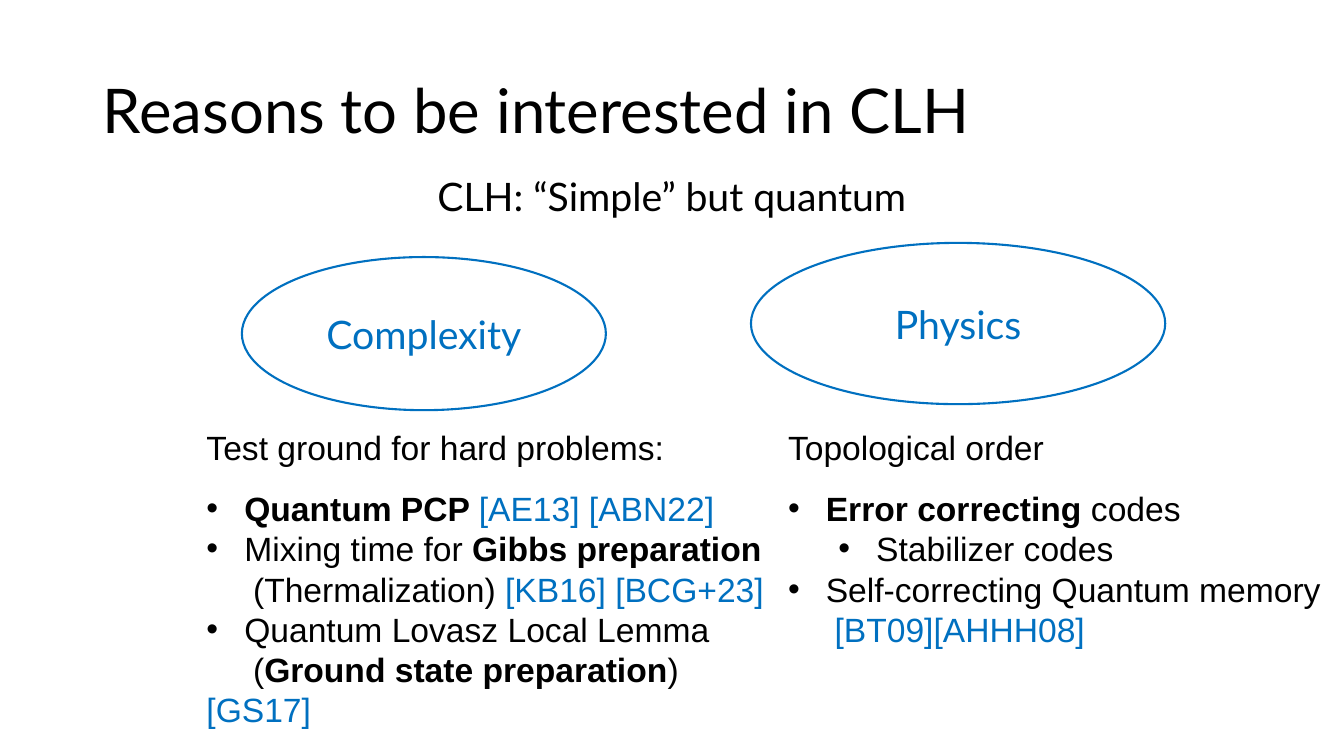
from dataclasses import dataclass

from lxml import etree
from pptx import Presentation
from pptx import util as u
from pptx.dml.color import RGBColor
from pptx.enum import shapes, text
from pptx.oxml import ns

BLACK = RGBColor(0x00, 0x00, 0x00)
WHITE = RGBColor(0xFF, 0xFF, 0xFF)
BLUE = RGBColor(0x00, 0x70, 0xC0)
HEADING_FONT = "Lato"
BODY_FONT = "Arial"
BODY_SIZE = 24
BULLET_HANG = 27
LEVEL_STEP = 36
CONTINUATION_INDENT = 33.3


@dataclass(frozen=True)
class Box:
    left: float
    top: float
    width: float
    height: float

    def lengths(self) -> tuple[u.Length, ...]:
        return u.Pt(self.left), u.Pt(self.top), u.Pt(self.width), u.Pt(self.height)


@dataclass(frozen=True)
class Phrase:
    wording: str
    bold: bool = False
    color: RGBColor = BLACK


@dataclass(frozen=True)
class Line:
    phrases: tuple[Phrase, ...]
    bullet: bool = False
    level: int = 0
    spacing: float = 1.0
    first_indent: float = 0


@dataclass(frozen=True)
class Topic:
    name: str
    ellipse: Box
    reasons: Box
    lines: tuple[Line, ...]


TITLE_BOX = Box(66.2, 28.8, 828, 104.4)
SUBTITLE_BOX = Box(303.1, 119.5, 353.5, 41)

TOPICS = (
    Topic("Complexity", Box(172.8, 183.6, 260, 109.4), Box(140.4, 301.7, 416.2, 196.6), (
        Line((Phrase("Test ground for hard problems:"),)),
        Line((Phrase("Quantum PCP ", bold=True), Phrase("[AE13] [ABN22]", color=BLUE)),
             bullet=True, spacing=1.5),
        Line((Phrase("Mixing time for "), Phrase("Gibbs preparation", bold=True)), bullet=True),
        Line((Phrase("(Thermalization) "), Phrase("[KB16] [BCG+23]", color=BLUE)),
             first_indent=CONTINUATION_INDENT),
        Line((Phrase("Quantum Lovasz Local Lemma"),), bullet=True),
        Line((Phrase("("), Phrase("Ground state preparation", bold=True), Phrase(") "),
              Phrase("[GS17]", color=BLUE)), first_indent=CONTINUATION_INDENT),
    )),
    Topic("Physics", Box(536.4, 173.5, 295.9, 115.2), Box(555.8, 301.7, 395.3, 196.6), (
        Line((Phrase("Topological order"),)),
        Line((Phrase("Error correcting ", bold=True), Phrase("codes")), bullet=True, spacing=1.5),
        Line((Phrase("Stabilizer codes"),), bullet=True, level=1),
        Line((Phrase("Self-correcting Quantum memory"),), bullet=True),
        Line((Phrase("[BT09][AHHH08]", color=BLUE),), first_indent=CONTINUATION_INDENT),
    )),
)


def format_run(run, font_name: str, size: float, color: RGBColor, bold: bool = False) -> None:
    run.font.name = font_name
    run.font.size = u.Pt(size)
    run.font.color.rgb = color
    run.font.bold = bold


def write_heading(shape, wording: str, size: float, color: RGBColor, alignment) -> None:
    frame = shape.text_frame
    frame.text = wording
    frame.vertical_anchor = text.MSO_ANCHOR.MIDDLE
    paragraph = frame.paragraphs[0]
    paragraph.alignment = alignment
    format_run(paragraph.runs[0], HEADING_FONT, size, color)


def write_line(paragraph, line: Line) -> None:
    paragraph.level = line.level
    paragraph.line_spacing = line.spacing
    properties = paragraph._p.get_or_add_pPr()
    margin = BULLET_HANG + LEVEL_STEP * line.level if line.bullet else 0
    indent = -BULLET_HANG if line.bullet else line.first_indent
    properties.set("marL", str(u.Pt(margin)))
    properties.set("indent", str(u.Pt(indent)))
    if line.bullet:
        etree.SubElement(properties, ns.qn("a:buFont")).set("typeface", BODY_FONT)
        etree.SubElement(properties, ns.qn("a:buChar")).set("char", "•")
    else:
        etree.SubElement(properties, ns.qn("a:buNone"))
    for phrase in line.phrases:
        run = paragraph.add_run()
        run.text = phrase.wording
        format_run(run, BODY_FONT, BODY_SIZE, phrase.color, phrase.bold)


def draw_topic(slide, topic: Topic) -> None:
    ellipse = slide.shapes.add_shape(shapes.MSO_SHAPE.OVAL, *topic.ellipse.lengths())
    ellipse.shadow.inherit = False
    ellipse.fill.solid()
    ellipse.fill.fore_color.rgb = WHITE
    ellipse.line.color.rgb = BLUE
    ellipse.line.width = u.Pt(1.5)
    write_heading(ellipse, topic.name, 28, BLUE, text.PP_ALIGN.CENTER)

    frame = slide.shapes.add_textbox(*topic.reasons.lengths()).text_frame
    frame.word_wrap = True
    frame.margin_right = 0
    for index, line in enumerate(topic.lines):
        write_line(frame.add_paragraph() if index else frame.paragraphs[0], line)


def main() -> None:
    presentation = Presentation()
    presentation.slide_width = u.Pt(960)
    presentation.slide_height = u.Pt(540)
    slide = presentation.slides.add_slide(presentation.slide_layouts[5])

    title = slide.shapes.title
    title.left, title.top, title.width, title.height = TITLE_BOX.lengths()
    write_heading(title, "Reasons to be interested in CLH", 44, BLACK, text.PP_ALIGN.LEFT)
    title.text_frame.auto_size = text.MSO_AUTO_SIZE.NONE
    title.text_frame.paragraphs[0].line_spacing = 0.9

    subtitle = slide.shapes.add_textbox(*SUBTITLE_BOX.lengths())
    write_heading(subtitle, "CLH: “Simple” but quantum", 28, BLACK, text.PP_ALIGN.CENTER)

    for topic in TOPICS:
        draw_topic(slide, topic)
    presentation.save("out.pptx")


if __name__ == "__main__":
    main()
